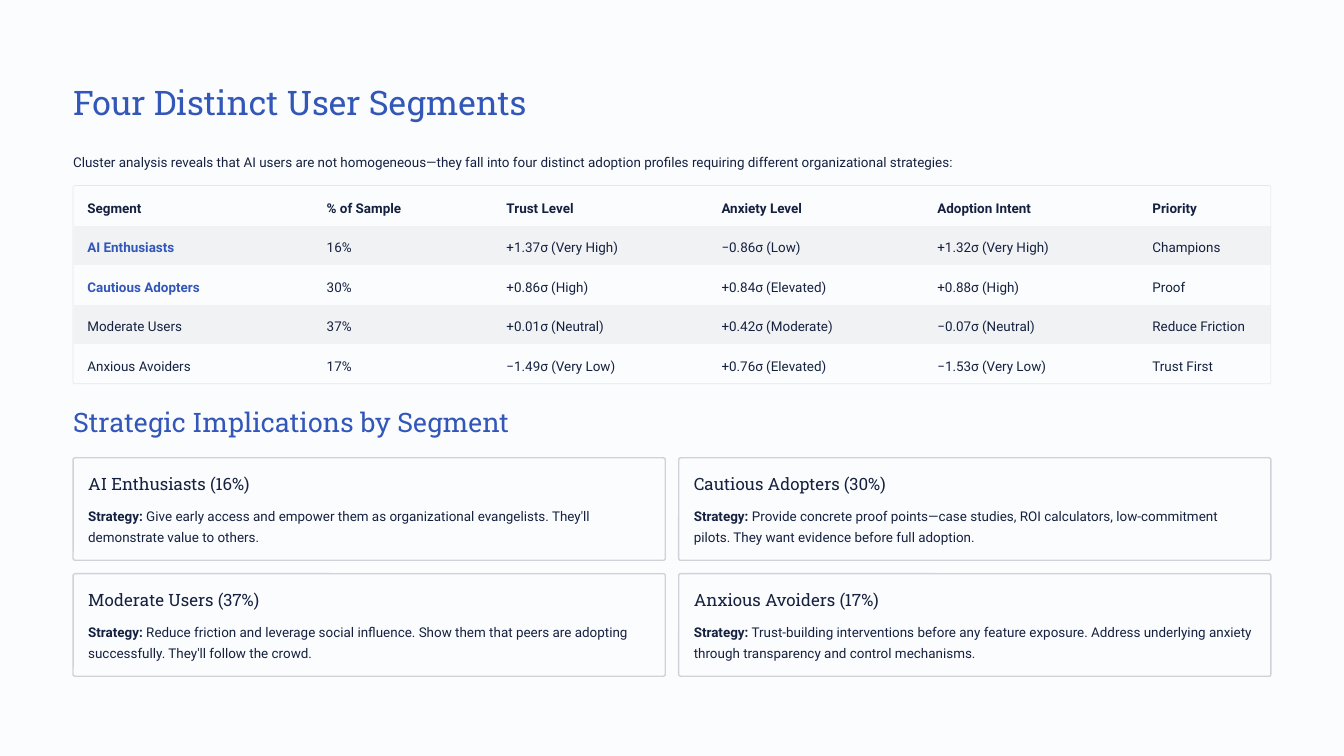
import pptx
import pptx.dml.color
import pptx.enum.shapes
import pptx.enum.text
import pptx.util

Inches, Pt = pptx.util.Inches, pptx.util.Pt
SHAPES = pptx.enum.shapes.MSO_SHAPE
TEXT = pptx.enum.text

PAPER, INK, BLUE = "FBFCFE", "15213F", "3257B8"
BAND, FRAME, EDGE = "F1F2F4", "E7E8EA", "CFD2D8"
PLAIN_GRID = "{2D5ABB26-0587-4C30-8999-92F81FD0307C}"
LEFT, WIDTH = 0.87, 14.26


def color(code):
    return pptx.dml.color.RGBColor.from_string(code)


def apply(target, values):
    for name, value in values.items():
        setattr(target, name, value)


class Deck:
    """Holds the text styles and the current slide."""

    # font, size, line spacing, colour
    styles = {
        "title": ("Roboto Slab", 29, 36, BLUE),
        "head": ("Roboto Slab", 23, 29, BLUE),
        "card": ("Roboto Slab", 14.5, 18, INK),
        "body": ("Roboto", 11.5, 18.5, INK),
        "key": ("Roboto", 11.5, 18.5, BLUE),
    }

    def __init__(self, show):
        self.slide = show.slides.add_slide(show.slide_layouts[5])
        self.shapes = self.slide.shapes
        fill = self.slide.background.fill
        fill.solid()
        fill.fore_color.rgb = color(PAPER)

    def words(self, frame, runs, style):
        """Fill a frame with one paragraph of (text, bold) runs."""
        font, size, pitch, tint = self.styles[style]
        para = frame.paragraphs[0]
        apply(para, {"alignment": TEXT.PP_ALIGN.LEFT,
                     "line_spacing": Pt(pitch), "space_before": Pt(0)})
        for label, bold in runs:
            run = para.add_run()
            run.text = label
            apply(run.font, {"name": font, "size": Pt(size), "bold": bold})
            run.font.color.rgb = color(tint)

    def fit(self, box, runs, style):
        apply(box.text_frame, {
            "margin_left": 0, "margin_top": 0, "margin_right": 0,
            "margin_bottom": 0, "word_wrap": True,
            "auto_size": TEXT.MSO_AUTO_SIZE.NONE,
            "vertical_anchor": TEXT.MSO_ANCHOR.TOP})
        self.words(box.text_frame, runs, style)

    def title(self, label, *place):
        box = self.shapes.title
        names = ("left", "top", "width", "height")
        apply(box, dict(zip(names, map(Inches, place))))
        self.fit(box, [(label, False)], "title")

    def text(self, runs, style, *place):
        box = self.shapes.add_textbox(*map(Inches, place))
        self.fit(box, runs, style)

    def panel(self, line, weight, round_by, fill, *place):
        box = self.shapes.add_shape(SHAPES.ROUNDED_RECTANGLE,
                                    *map(Inches, place))
        box.shadow.inherit = False
        box.adjustments[0] = round_by
        if fill:
            box.fill.solid()
            box.fill.fore_color.rgb = color(fill)
        else:
            box.fill.background()
        box.line.color.rgb = color(line)
        box.line.width = Pt(weight)

    def table(self, rows, widths, left, top, pitch):
        frame = self.shapes.add_table(
            len(rows), len(widths), Inches(left), Inches(top),
            Inches(sum(widths)), Inches(pitch * len(rows)))
        frame.element.xpath(".//a:tableStyleId")[0].text = PLAIN_GRID
        grid = frame.table
        for col, width in zip(grid.columns, widths):
            col.width = Inches(width)
        for r, row in enumerate(rows):
            grid.rows[r].height = Inches(pitch)
            for c, label in enumerate(row):
                cell = grid.cell(r, c)
                apply(cell, {"margin_left": Inches(0.16), "margin_right": 0,
                             "margin_top": Inches(0.1), "margin_bottom": 0,
                             "vertical_anchor": TEXT.MSO_ANCHOR.TOP})
                cell.fill.solid()
                cell.fill.fore_color.rgb = color(BAND if r % 2 else PAPER)
                key = c == 0 and r in (1, 2)
                self.words(cell.text_frame, [(label, r == 0 or key)],
                           "key" if key else "body")

    def card(self, head, plan, left, top, width, height):
        self.panel(EDGE, 1.2, 0.02, PAPER, left, top, width, height)
        inset = left + 0.18
        self.text([(head, False)], "card", inset, top + 0.18, 6.7, 0.25)
        self.text([("Strategy:", True), (" " + plan, False)], "body",
                  inset, top + 0.53, 6.7, 0.52)


SEGMENTS = [
    ("Segment", "% of Sample", "Trust Level", "Anxiety Level",
     "Adoption Intent", "Priority"),
    ("AI Enthusiasts", "16%", "+1.37σ (Very High)", "−0.86σ (Low)",
     "+1.32σ (Very High)", "Champions"),
    ("Cautious Adopters", "30%", "+0.86σ (High)", "+0.84σ (Elevated)",
     "+0.88σ (High)", "Proof"),
    ("Moderate Users", "37%", "+0.01σ (Neutral)", "+0.42σ (Moderate)",
     "−0.07σ (Neutral)", "Reduce Friction"),
    ("Anxious Avoiders", "17%", "−1.49σ (Very Low)", "+0.76σ (Elevated)",
     "−1.53σ (Very Low)", "Trust First"),
]
PLANS = [
    "Give early access and empower them as organizational evangelists. "
    "They'll demonstrate value to others.",
    "Provide concrete proof points—case studies, ROI calculators, "
    "low-commitment pilots. They want evidence before full adoption.",
    "Reduce friction and leverage social influence. Show them that peers "
    "are adopting successfully. They'll follow the crowd.",
    "Trust-building interventions before any feature exposure. Address "
    "underlying anxiety through transparency and control mechanisms.",
]


def main():
    show = pptx.Presentation()
    apply(show, {"slide_width": Inches(16), "slide_height": Inches(9)})
    deck = Deck(show)

    # Title and lead
    deck.title("Four Distinct User Segments", LEFT, 0.95, WIDTH, 0.5)
    deck.text([("Cluster analysis reveals that AI users are not "
                "homogeneous—they fall into four distinct adoption profiles "
                "requiring different organizational strategies:", False)],
              "body", LEFT, 1.77, WIDTH, 0.26)

    # Segment table with a thin frame
    deck.table(SEGMENTS, (2.85, 2.14, 2.56, 2.57, 2.56, 1.57),
               0.88, 2.22, 0.47)
    deck.panel(FRAME, 0.6, 0.01, None, LEFT, 2.21, WIDTH, 2.36)

    # Strategy cards, two by two
    deck.text([("Strategic Implications by Segment", False)], "head",
              LEFT, 4.81, WIDTH, 0.4)
    for i, (row, plan) in enumerate(zip(SEGMENTS[1:], PLANS)):
        deck.card(f"{row[0]} ({row[1]})", plan, LEFT + i % 2 * 7.21,
                  5.45 + i // 2 * 1.38, 7.05, 1.22)

    show.save("out.pptx")


if __name__ == "__main__":
    main()
